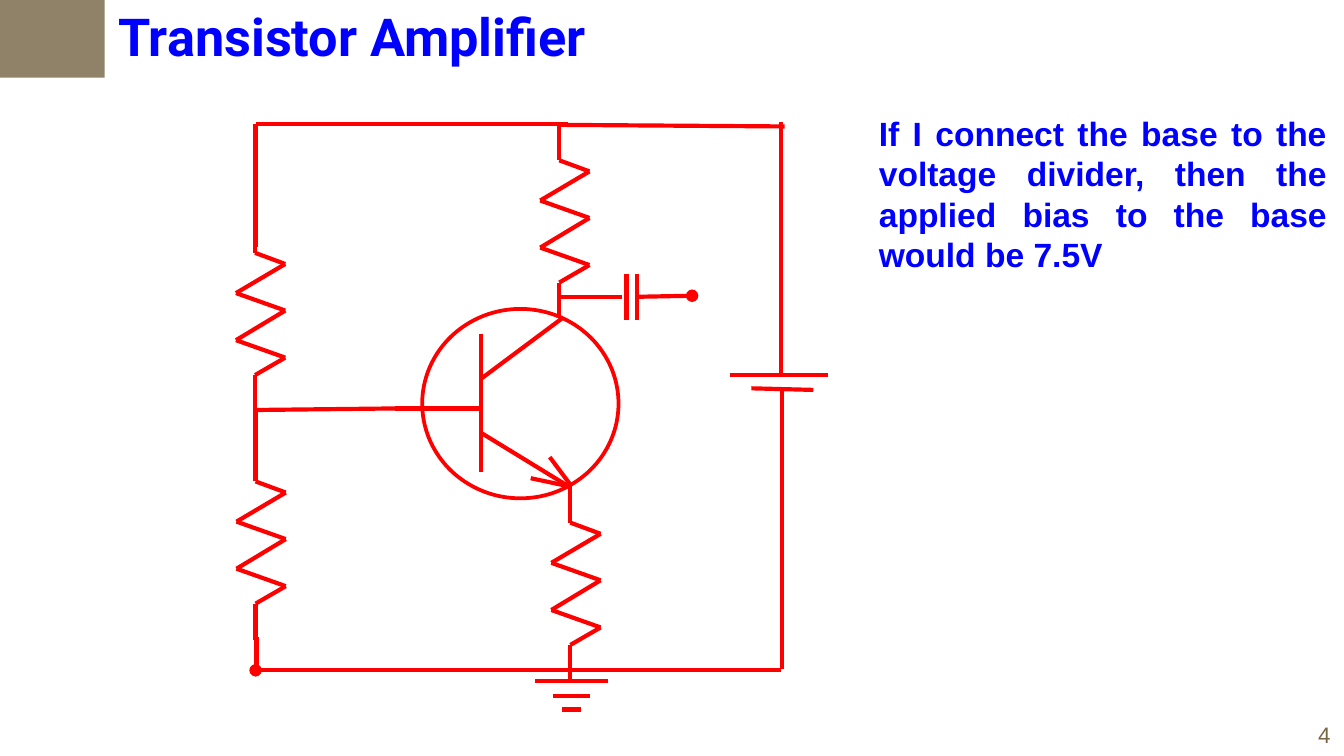
import pptx
from lxml import etree
from pptx.dml.color import RGBColor
from pptx.enum.shapes import MSO_CONNECTOR, MSO_SHAPE
from pptx.enum.text import MSO_ANCHOR, MSO_AUTO_SIZE, PP_ALIGN
from pptx.oxml.ns import qn
from pptx.util import Cm, Pt

RED = RGBColor(0xFF, 0x00, 0x00)
BLUE = RGBColor(0x00, 0x00, 0xFF)
TAN = RGBColor(0x90, 0x82, 0x69)
BROWN = RGBColor(0x78, 0x67, 0x45)

TITLE = "Transistor Amplifier"
EXPLANATION = (
    "If I connect the base to the voltage divider, then the applied bias "
    "to the base would be 7.5V"
)
PAGE_NUMBER = "4"

TITLE_FONT = {"name": "Roboto", "size": Pt(28), "bold": True}
EXPLANATION_FONT = {"name": "Arial", "size": Pt(18), "bold": True}
NUMBER_FONT = {"name": "Arial", "size": Pt(12), "bold": False}

# All positions are centimetres; boxes are left, top, width, height.
CORNER_BOX = (0, -0.05, 1.98, 1.52)
TITLE_BOX = (1.98, -0.05, 10.19, 1.45)
EXPLANATION_BOX = (16.36, 2.01, 8.97, 3.33)
NUMBER_BOX = (24.66, 13.51, 0.74, 0.76)
TRANSISTOR_BOX = (7.98, 5.84, 3.71, 3.58)

# Wires are x1, y1, x2, y2.
WIRES = {
    "top rail": [(4.83, 2.34, 10.74, 2.34), (10.57, 2.36, 14.83, 2.39)],
    "divider": [
        (4.83, 2.34, 4.83, 4.67),
        (4.83, 7.77, 4.83, 8.66),
        (4.85, 12.04, 4.85, 12.67),
    ],
    "base": [
        (4.8, 7.75, 7.49, 7.72),
        (7.47, 7.72, 9.07, 7.72),
        (9.09, 6.32, 9.09, 8.92),
    ],
    "collector": [(10.62, 6.02, 9.09, 7.16)],
    "emitter": [
        (10.74, 9.19, 9.09, 8.18),
        (10.74, 9.19, 10.03, 9.04),
        (10.8, 9.19, 10.39, 8.64),
    ],
    "capacitor": [
        (10.57, 5.61, 11.76, 5.61),
        (11.84, 5.18, 11.84, 6.05),
        (12.04, 5.18, 12.04, 6.05),
    ],
    "battery": [
        (14.76, 2.31, 14.76, 7.06),
        (13.79, 7.09, 15.65, 7.09),
        (14.2, 7.34, 15.37, 7.37),
        (14.78, 7.34, 14.78, 12.65),
    ],
}
TERMINAL_WIRES = [(4.83, 12.67, 14.76, 12.67), (13.08, 5.59, 12.04, 5.61)]

GROUND_CENTER = 10.8
GROUND_BARS = [(12.88, 1.37), (13.16, 0.71), (13.41, 0.36)]  # y, width

RESISTOR_TOPS = {
    "collector": (10.57, 2.34),
    "upper divider": (4.82, 4.09),
    "lower divider": (4.83, 8.41),
    "emitter": (10.78, 9.19),
}
ZIGZAG = [
    (0, 0), (0, 0.69), (0.57, 0.9), (-0.36, 1.45), (0.57, 1.78),
    (-0.36, 2.34), (0.57, 2.67), (0, 3), (0, 3.68),
]


def lengths(values):
    return [Cm(value) for value in values]


def add_wire(shapes, ends, terminal=False):
    wire = shapes.add_connector(MSO_CONNECTOR.STRAIGHT, *lengths(ends))
    wire.line.color.rgb = RED
    wire.line.width = Pt(2.25)
    if terminal:
        line = wire.line._get_or_add_ln()
        etree.SubElement(line, qn("a:headEnd"), type="oval")
    properties = wire._element.spPr
    etree.SubElement(properties, qn("a:effectLst"))


def add_resistor(shapes, top):
    group = shapes.add_group_shape()
    points = [(top[0] + x, top[1] + y) for x, y in ZIGZAG]
    for start, end in zip(points, points[1:]):
        add_wire(group.shapes, start + end)


def write_text(shape, text, font, color, alignment, wrap=True):
    frame = shape.text_frame
    frame.word_wrap = wrap
    frame.auto_size = MSO_AUTO_SIZE.SHAPE_TO_FIT_TEXT
    frame.vertical_anchor = MSO_ANCHOR.TOP
    paragraph = frame.paragraphs[0]
    paragraph.text = text
    paragraph.alignment = alignment
    for name, value in font.items():
        setattr(paragraph.font, name, value)
    paragraph.font.color.rgb = color


def main():
    presentation = pptx.Presentation()
    presentation.slide_width = Cm(25.4)
    presentation.slide_height = Cm(14.29)
    slide = presentation.slides.add_slide(presentation.slide_layouts[5])
    shapes = slide.shapes

    title = shapes.title
    title.left, title.top, title.width, title.height = lengths(TITLE_BOX)
    write_text(title, TITLE, TITLE_FONT, BLUE, PP_ALIGN.LEFT)

    corner = shapes.add_shape(MSO_SHAPE.RECTANGLE, *lengths(CORNER_BOX))
    corner.shadow.inherit = False
    corner.fill.solid()
    corner.fill.fore_color.rgb = TAN
    corner.line.fill.background()

    transistor = shapes.add_shape(MSO_SHAPE.OVAL, *lengths(TRANSISTOR_BOX))
    transistor.shadow.inherit = False
    transistor.fill.background()
    transistor.line.color.rgb = RED
    transistor.line.width = Pt(2)

    for wires in WIRES.values():
        for ends in wires:
            add_wire(shapes, ends)
    for ends in TERMINAL_WIRES:
        add_wire(shapes, ends, terminal=True)
    for y, width in GROUND_BARS:
        add_wire(shapes, (GROUND_CENTER - width / 2, y, GROUND_CENTER + width / 2, y))
    for top in RESISTOR_TOPS.values():
        add_resistor(shapes, top)

    explanation = shapes.add_textbox(*lengths(EXPLANATION_BOX))
    write_text(explanation, EXPLANATION, EXPLANATION_FONT, BLUE, PP_ALIGN.JUSTIFY)
    number = shapes.add_textbox(*lengths(NUMBER_BOX))
    write_text(number, PAGE_NUMBER, NUMBER_FONT, BROWN, PP_ALIGN.LEFT, wrap=False)

    presentation.save("out.pptx")


if __name__ == "__main__":
    main()
